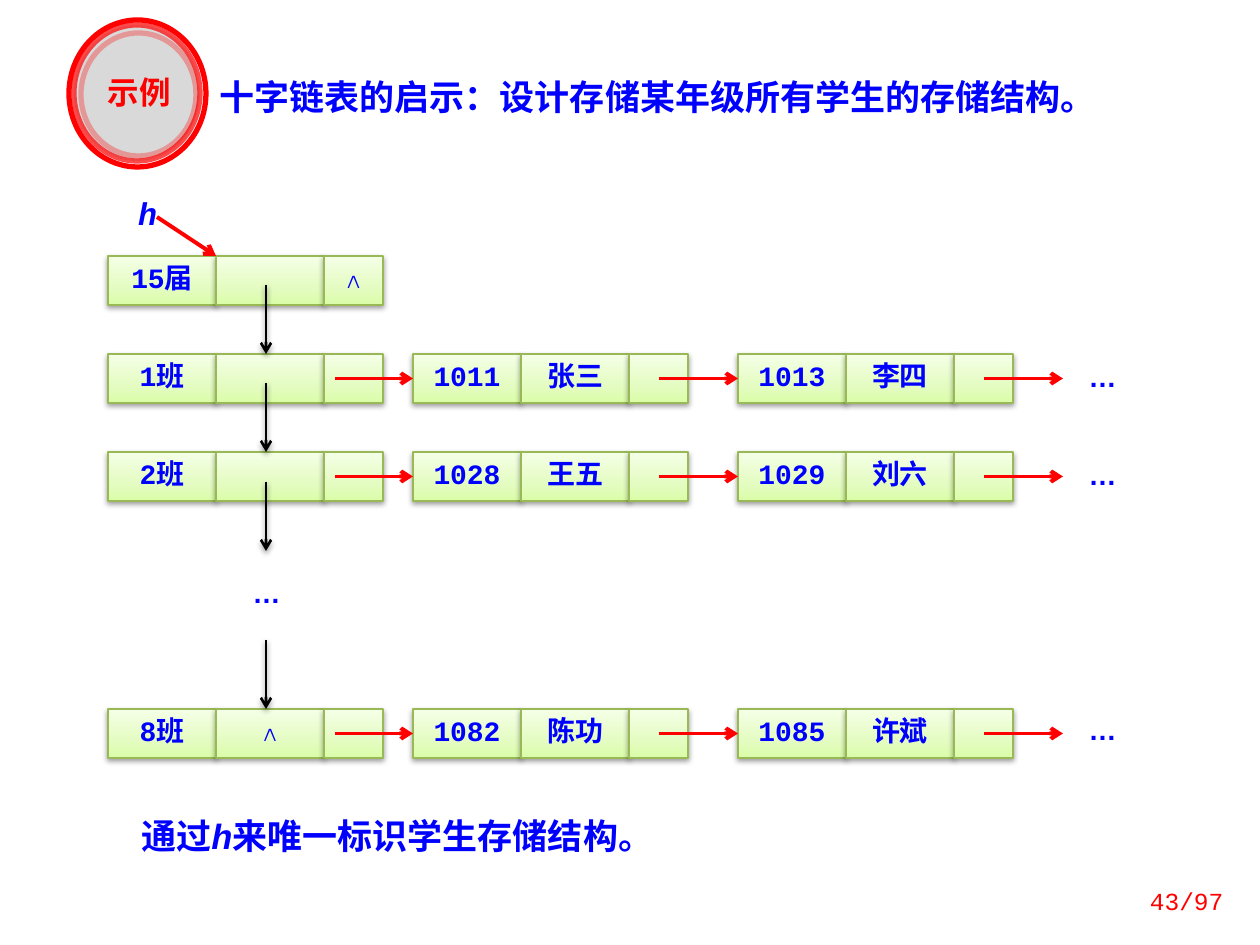
from dataclasses import dataclass

from lxml import etree
from pptx import Presentation
from pptx.dml.color import RGBColor as RGB
from pptx.enum.shapes import MSO_CONNECTOR as Conn, MSO_SHAPE as Kind
from pptx.enum.text import MSO_ANCHOR as Anchor, MSO_AUTO_SIZE as Auto, PP_ALIGN as Align
from pptx.oxml import parse_xml
from pptx.oxml.ns import nsdecls, qn
from pptx.util import Pt

WIDE, HIGH = 1260, 945
SCALE = 9144000 / WIDE


@dataclass(frozen=True)
class Theme:
    blue: str = "0000FF"
    red: str = "FF0000"
    black: str = "000000"
    edge: str = "98B955"
    grad: tuple = ((0, "DAFDA7"), (35, "E4FCC2"), (100, "F5FFE7"))
    pale: str = "F8F8F8"
    gray: str = "D9D9D9"
    mono: str = "Courier New"
    sans: str = "Arial"
    han: str = "Noto Sans CJK SC"
    big: int = 20
    mid: int = 18
    body: int = 16
    small: int = 14


T = Theme()

# Node columns: left edge of each node, then the widths of its three cells
LEFTS = (108, 413, 738)
WIDTHS = (108, 108, 59)
TALL = 49
HEAD = 256
# Row top, ellipsis top, texts of the three nodes
ROWS = (
    (354, 360, (("1班", "", ""), ("1011", "张三", ""), ("1013", "李四", ""))),
    (452, 458, (("2班", "", ""), ("1028", "王五", ""), ("1029", "刘六", ""))),
    (709, 713, (("8班", "∧", ""), ("1082", "陈功", ""), ("1085", "许斌", ""))),
)


def px(*vals):
    return [round(v * SCALE) for v in vals]


def shade(shape):
    """Give a shape or connector a soft shadow below it."""
    shape._element.spPr.append(parse_xml(
        f'<a:effectLst {nsdecls("a")}><a:outerShdw blurRad="40000" dist="20000" '
        f'dir="5400000" rotWithShape="0"><a:srgbClr val="{T.black}">'
        '<a:alpha val="38000"/></a:srgbClr></a:outerShdw></a:effectLst>'))


def write(frame, runs, size, font=T.mono, color=T.blue, bold=True,
          align=Align.CENTER, lead=0.8):
    """Fill a frame with one paragraph; runs are (text, italic) pairs."""
    frame.word_wrap = True
    para = frame.paragraphs[0]
    para.alignment = align
    para.line_spacing = lead
    for text, slant in runs:
        run = para.add_run()
        run.text = text
        face = run.font
        face.name, face.size, face.bold, face.italic = font, Pt(size), bold, slant
        face.color.rgb = RGB.from_string(color)
        if any("一" <= c <= "龥" for c in text):
            east = etree.SubElement(run._r.rPr, qn("a:ea"))
            east.set("typeface", T.han)


def label(slide, at, runs, size, **style):
    box = slide.shapes.add_textbox(*px(*at))
    write(box.text_frame, runs, size, **style)
    box.text_frame.auto_size = Auto.SHAPE_TO_FIT_TEXT
    return box


def dots(slide, x, y):
    label(slide, (x, y, 79, 40), [("…", False)], T.body, font=T.sans)


def cell(slide, x, y, wide, text):
    box = slide.shapes.add_shape(Kind.RECTANGLE, *px(x, y, wide, TALL))
    stops = "".join(f'<a:gs pos="{pos * 1000}"><a:srgbClr val="{tint}"/></a:gs>'
                    for pos, tint in T.grad)
    box._element.spPr.append(parse_xml(
        f'<a:gradFill {nsdecls("a")} rotWithShape="1"><a:gsLst>{stops}</a:gsLst>'
        '<a:lin ang="16200000" scaled="0"/></a:gradFill>'))
    box.line.color.rgb = RGB.from_string(T.edge)
    box.line.width = Pt(0.75)
    shade(box)
    if text:
        box.text_frame.vertical_anchor = Anchor.MIDDLE
        write(box.text_frame, [(text, False)], T.body)
    return box


def node(slide, x, y, texts):
    """Draw three touching cells and return the first one."""
    cells = []
    for wide, text in zip(WIDTHS, texts):
        cells.append(cell(slide, x, y, wide, text))
        x += wide
    return cells[0]


def arrow(slide, start, end, color=T.red, width=2.25, goal=None):
    line = slide.shapes.add_connector(Conn.STRAIGHT, *px(*start, *end))
    line.line.color.rgb = RGB.from_string(color)
    line.line.width = Pt(width)
    tip = etree.SubElement(line.line._get_or_add_ln(), qn("a:tailEnd"))
    tip.set("type", "arrow")
    if goal is not None:
        line.end_connect(goal, 1)
    if color == T.black:
        shade(line)
    else:
        etree.SubElement(line._element.spPr, qn("a:effectLst"))


def ring(slide, at, fill=None, alpha=100):
    oval = slide.shapes.add_shape(Kind.OVAL, *px(*at))
    oval.shadow.inherit = False
    if fill:
        oval.fill.solid()
        oval.fill.fore_color.rgb = RGB.from_string(fill)
    else:
        oval.fill.background()
    oval.line.color.rgb = RGB.from_string(T.red)
    oval.line.width = Pt(3)
    if alpha < 100:
        tint = oval.line._get_or_add_ln().find(".//" + qn("a:srgbClr"))
        etree.SubElement(tint, qn("a:alpha")).set("val", str(alpha * 1000))


def chain(slide, y, dot, nodes):
    """Draw one class row: its nodes, the links between them, an ellipsis."""
    heads = [node(slide, x, y, texts) for x, texts in zip(LEFTS, nodes)]
    mid = y + TALL / 2
    ends = (*LEFTS[1:], 1063)
    for start, end, goal in zip((335, 659, 984), ends, (*heads[1:], None)):
        arrow(slide, (start, mid), (end, mid), goal=goal)
    dots(slide, 1063, dot)


def main():
    deck = Presentation()
    deck.slide_width, deck.slide_height = px(WIDE, HIGH)
    slide = deck.slides.add_slide(deck.slide_layouts[6])

    # Class rows and the head node
    for row in ROWS:
        chain(slide, *row)
    node(slide, LEFTS[0], HEAD, ("15届", "", "∧"))

    # Title
    label(slide, (207, 69, 925, 55),
          [("十字链表的启示：设计存储某年级所有学生的存储结构。", False)],
          T.big, align=Align.LEFT, lead=1.0)

    # Links down the class list
    for end in (354, 452, 551, 709):
        arrow(slide, (266, end - 69), (266, end), T.black, 1.5)
    dots(slide, 227, 576)

    # Head pointer
    arrow(slide, (157, 217), (216, HEAD))
    label(slide, (108, 195, 79, 44), [("h", True)], T.mid)

    # Conclusion
    label(slide, (129, 816, 857, 47),
          [("通过", False), ("h", True), ("来唯一标识学生存储结构。", False)],
          T.big, align=Align.LEFT)

    # Badge
    ring(slide, (69, 20, 137, 147), T.pale)
    ring(slide, (74, 25, 126, 136), T.gray, 70)
    ring(slide, (81, 33, 115, 123), alpha=30)
    label(slide, (89, 74, 101, 43), [("示例", False)], T.mid, font=T.han, color=T.red)

    # Page number
    page = label(slide, (1113, 876, 123, 50), [("43/97", False)], T.small,
                 color=T.red, bold=False, align=Align.RIGHT, lead=1.0)
    page.text_frame.auto_size = Auto.NONE
    page.text_frame.vertical_anchor = Anchor.MIDDLE

    deck.save("out.pptx")


if __name__ == "__main__":
    main()
